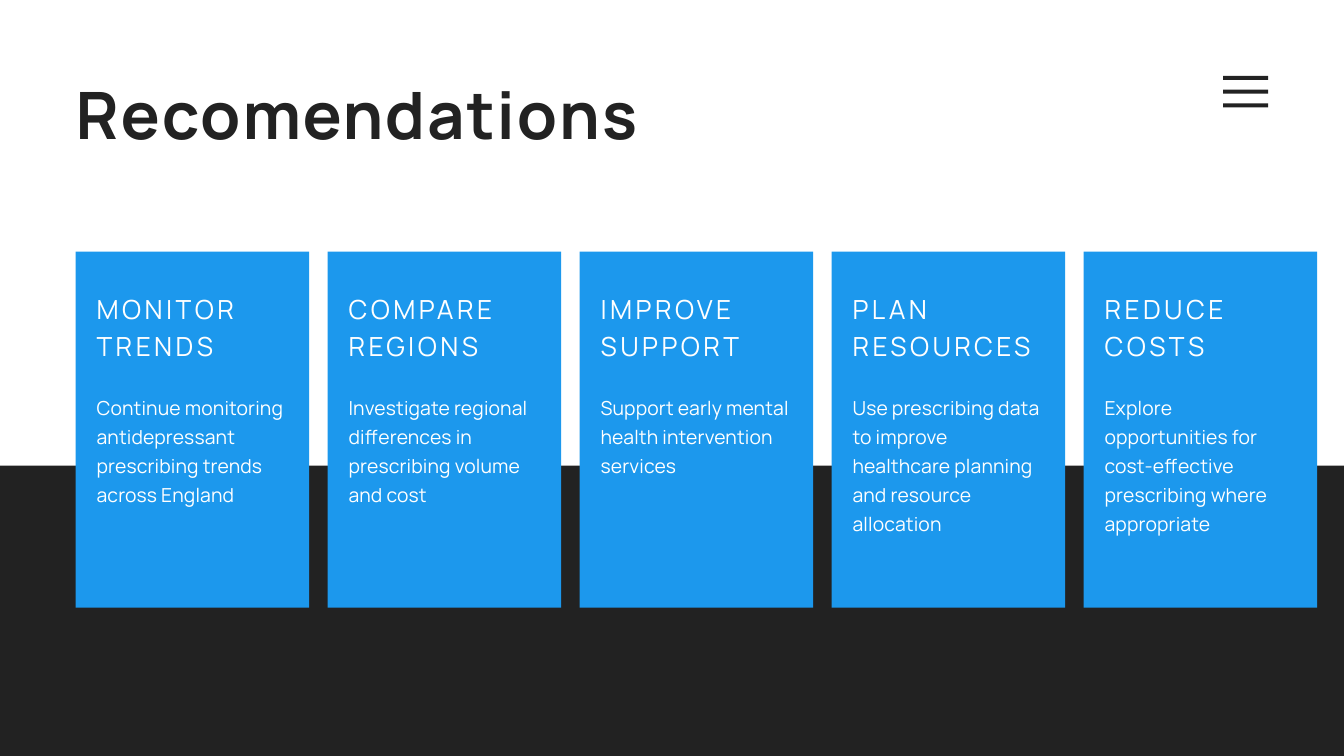
from pptx import Presentation
from pptx import util as u
from pptx.dml import color
from pptx.enum import shapes, text

COLUMNS, ROWS = 160, 90
DARK, BLUE, WHITE = "222222", "1C98ED", "FFFFFF"

CARDS = [
    ("MONITOR TRENDS",
     "Continue monitoring antidepressant prescribing trends across England"),
    ("COMPARE REGIONS",
     "Investigate regional differences in prescribing volume and cost"),
    ("IMPROVE SUPPORT",
     "Support early mental health intervention services"),
    ("PLAN RESOURCES",
     "Use prescribing data to improve healthcare planning and resource allocation"),
    ("REDUCE COSTS",
     "Explore opportunities for cost-effective prescribing where appropriate"),
]


def rgb(value):
    return color.RGBColor.from_string(value)


class Page:
    """Draws on one slide; lengths are columns and rows of the grid."""

    font = "Manrope"

    def __init__(self, deck):
        self.column = deck.slide_width / COLUMNS
        self.row = deck.slide_height / ROWS
        self.slide = deck.slides.add_slide(deck.slide_layouts[6])

    def place(self, left, top, width, height):
        """Turn grid lengths into slide lengths."""
        return (u.Emu(round(left * self.column)), u.Emu(round(top * self.row)),
                u.Emu(round(width * self.column)), u.Emu(round(height * self.row)))

    def panel(self, left, top, width, height, fill):
        shape = self.slide.shapes.add_shape(
            shapes.MSO_SHAPE.RECTANGLE, *self.place(left, top, width, height))
        shape.shadow.inherit = False
        shape.fill.solid()
        shape.fill.fore_color.rgb = rgb(fill)
        shape.line.fill.background()

    def label(self, left, top, width, height, words, size, leading, tracking,
              ink=WHITE, bold=False):
        """Add a text box; leading and tracking (letter spacing) are in points."""
        box = self.slide.shapes.add_textbox(*self.place(left, top, width, height))
        frame = box.text_frame
        frame.margin_left = frame.margin_right = 0
        frame.margin_top = frame.margin_bottom = 0
        frame.word_wrap = True
        frame.auto_size = text.MSO_AUTO_SIZE.SHAPE_TO_FIT_TEXT
        para = frame.paragraphs[0]
        para.line_spacing = u.Pt(leading)
        span = para.add_run()
        span.text = words
        span.font.name = self.font
        span.font.size = u.Pt(size)
        span.font.bold = bold
        span.font.color.rgb = rgb(ink)
        span._r.get_or_add_rPr().set("spc", str(round(tracking * 100)))

    def menu(self, left, top, bars=3, pitch=1.64):
        for bar in range(bars):
            self.panel(left, top + bar * pitch, 5.36, 0.48, DARK)

    def card(self, left, heading, body):
        self.panel(left, 29.95, 27.8, 42.4, BLUE)
        inner = left + 2.5
        self.label(inner, 34.3, 22.8, 8.65, heading, 28.2, 39.5, 3.7)
        self.label(inner, 46.5, 22.8, 17.2, body, 20.7, 31.1, 0.2)


def main():
    deck = Presentation()
    deck.slide_width, deck.slide_height = u.Inches(20), u.Inches(11.25)
    page = Page(deck)
    page.panel(-1.76, 55.45, 163.44, 36.24, DARK)
    page.label(9, 7.3, 123.7, 11, "Recomendations", 70, 98, 2.1, DARK, bold=True)
    page.menu(145.6, 9.04)
    for index, (heading, body) in enumerate(CARDS):
        page.card(9 + 30 * index, heading, body)
    deck.save("out.pptx")


if __name__ == "__main__":
    main()
